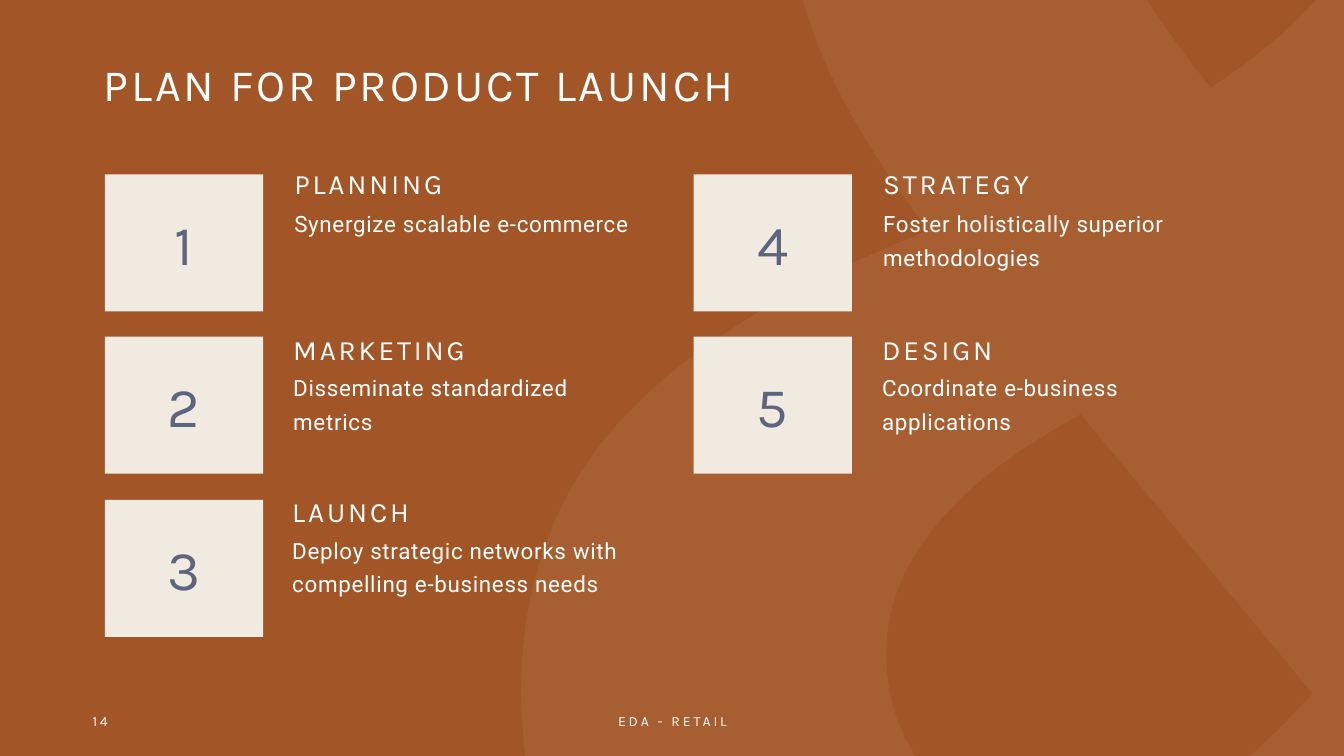
"""Build the product launch plan slide."""
from pptx import Presentation
from pptx.dml.color import RGBColor
from pptx.enum.shapes import MSO_SHAPE
from pptx.enum.text import MSO_ANCHOR, PP_ALIGN
from pptx.oxml.ns import qn
from pptx.util import Pt
from lxml import etree

RECTANGLE = MSO_SHAPE.RECTANGLE
TOP, MIDDLE = MSO_ANCHOR.TOP, MSO_ANCHOR.MIDDLE
LEFT, CENTER = PP_ALIGN.LEFT, PP_ALIGN.CENTER
PX = 9144
PAGE_WIDTH, PAGE_HEIGHT = 1333, 750
RUST, SAND, CREAM, SLATE, WHITE = "A25526", "D6BFA5", "F1EAE1", "5D657E", "FFFFFF"

TITLE = "PLAN FOR PRODUCT LAUNCH"
STEPS = [
    ("PLANNING", "Synergize scalable e-commerce"),
    ("MARKETING", "Disseminate standardized metrics"),
    ("LAUNCH", "Deploy strategic networks with compelling e-business needs"),
    ("STRATEGY", "Foster holistically superior methodologies"),
    ("DESIGN", "Coordinate e-business applications"),
]
PAGE_NUMBER, FOOTER = "14", "EDA - RETAIL"

ROWS_PER_COLUMN = 3
CARD_LEFT, CARD_WIDTH, CARD_HEIGHT = 104, 157, 136
CARD_TOPS = (173, 334, 496)
HEADING_TOPS = (167, 331, 492)
BODY_TOPS = (197, 360, 521)
LABEL_LEFT, LABEL_WIDTH = 282, 368
COLUMN_PITCH = 584

SWIRL_START = (921, 229)
SWIRL = [
    [(780, 284), (678, 348), (613, 420)],
    [(549, 492), (517, 581), (517, 686)],
    [(517, 708), (519, 730), (521, 750)],
    [(908, 750)],
    [(889, 721), (879, 687), (879, 648)],
    [(879, 604), (895, 562), (927, 523)],
    [(958, 484), (1006, 447), (1072, 411)],
    [(1302, 688)],
    [(1280, 712), (1259, 733), (1240, 750)],
    [(1333, 750)],
    [(1333, 0)],
    [(1305, 0)],
    [(1280, 29), (1245, 58), (1201, 87)],
    [(1175, 55), (1154, 26), (1138, 0)],
    [(796, 0)],
    [(801, 15), (806, 31), (812, 46)],
    [(834, 102), (871, 163), (921, 229)],
]


def color(hex_code):
    return RGBColor.from_string(hex_code)


def box_size(*lengths):
    return [length * PX for length in lengths]


def paint(shape, hex_code):
    shape.shadow.inherit = False
    shape.fill.solid()
    shape.fill.fore_color.rgb = color(hex_code)
    shape.line.fill.background()


def write(box, text, size, font="Karla", ink=WHITE, tracking=2, align=LEFT,
          anchor=TOP, line_spacing=1.0, before=0):
    frame = box.text_frame
    frame.word_wrap = True
    frame.vertical_anchor = anchor
    frame.text = text
    para = frame.paragraphs[0]
    para.alignment = align
    para.line_spacing = line_spacing
    para.space_before = Pt(before)
    span = para.runs[0]
    span.font.size = Pt(size)
    span.font.name = font
    span.font.color.rgb = color(ink)
    span._r.get_or_add_rPr().set("spc", str(int(tracking * 100)))


def add_text(page, place, text, size, **style):
    write(page.shapes.add_textbox(*box_size(*place)), text, size, **style)


def add_swirl(page):
    builder = page.shapes.build_freeform(*SWIRL_START, scale=PX)
    builder.add_line_segments([point for segment in SWIRL for point in segment], close=True)
    swirl = builder.convert_to_shape()
    paint(swirl, SAND)
    properties = swirl._element.spPr
    etree.SubElement(properties.find(qn("a:solidFill"))[0], qn("a:alpha")).set("val", "10000")
    lines = iter(list(properties.iter(qn("a:lnTo"))))
    for segment in SWIRL:
        first, *others = [next(lines) for _ in segment]
        if others:
            first.tag = qn("a:cubicBezTo")
            for line in others:
                first.append(line[0])
                line.getparent().remove(line)


def add_step(page, index, heading, body):
    column, row = divmod(index, ROWS_PER_COLUMN)
    shift = column * COLUMN_PITCH
    card = page.shapes.add_shape(
        RECTANGLE, *box_size(CARD_LEFT + shift, CARD_TOPS[row], CARD_WIDTH, CARD_HEIGHT))
    paint(card, CREAM)
    write(card, str(index + 1), 40, ink=SLATE, align=CENTER, anchor=MIDDLE)
    left = LABEL_LEFT + shift - row
    add_text(page, (left, HEADING_TOPS[row], LABEL_WIDTH, 40), heading, 20,
             line_spacing=0.8, before=10)
    add_text(page, (left, BODY_TOPS[row], LABEL_WIDTH, 110), body, 16,
             font="Roboto", tracking=0.5, line_spacing=1.25)


def main():
    deck = Presentation()
    deck.slide_width, deck.slide_height = box_size(PAGE_WIDTH, PAGE_HEIGHT)
    page = deck.slides.add_slide(deck.slide_layouts[6])
    page.background.fill.solid()
    page.background.fill.fore_color.rgb = color(RUST)
    add_swirl(page)
    add_text(page, (93, 57, 1127, 59), TITLE, 32, line_spacing=0.9)
    for index, (heading, body) in enumerate(STEPS):
        add_step(page, index, heading, body)
    add_text(page, (82, 695, 300, 40), PAGE_NUMBER, 10, anchor=MIDDLE)
    add_text(page, (442, 695, 450, 40), FOOTER, 10, align=CENTER, anchor=MIDDLE)
    deck.save("out.pptx")


if __name__ == "__main__":
    main()
